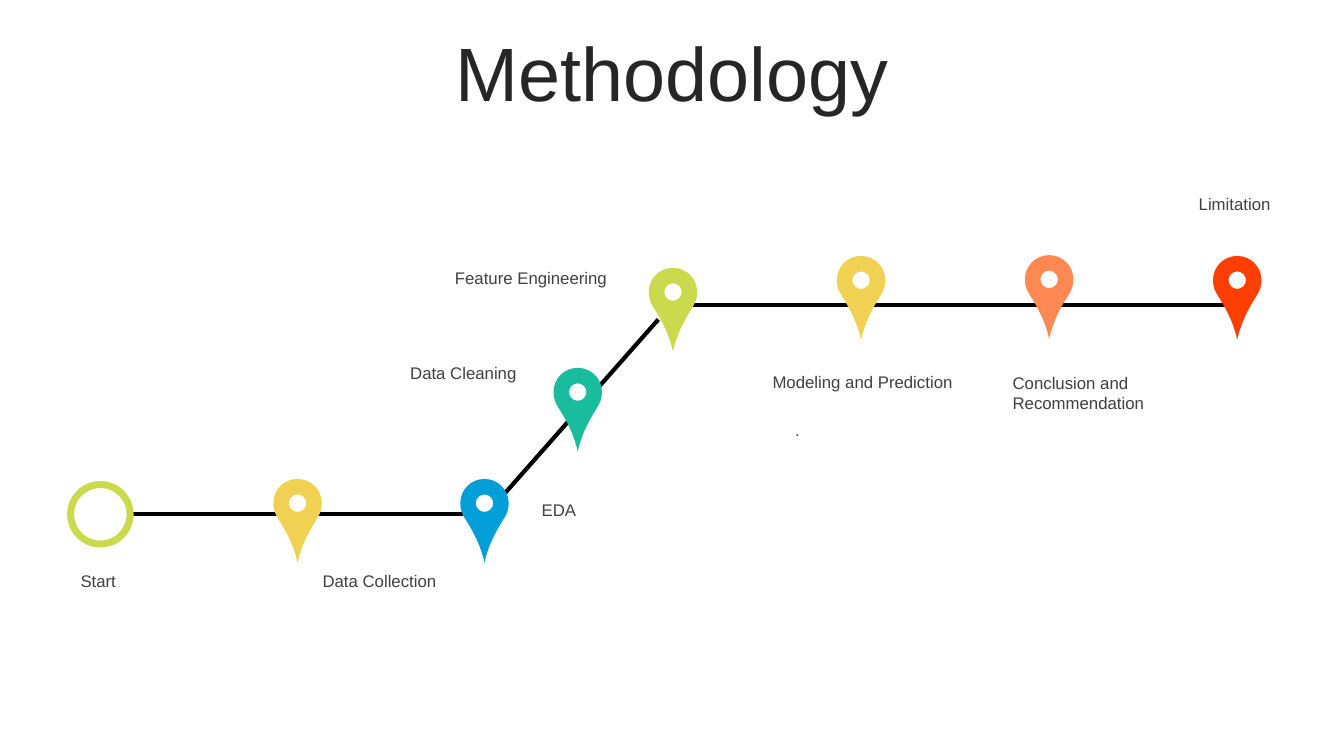
from lxml import etree
from pptx import Presentation
from pptx import util as u
from pptx.dml.color import RGBColor
from pptx.enum import shapes, text
from pptx.oxml.ns import qn

# All lengths are in centimetres.
TITLE = "Methodology"
ROADS = [
    ((3.28, 12.95), (11.68, 12.95)),
    ((16.94, 7.68), (31.17, 7.68)),
    ((12.6, 12.57), (16.59, 8.05)),
]
START = (1.78, 12.21, 1.5)
NARROW, WIDE = 5.49, 8.51
LEFT, RIGHT = text.PP_ALIGN.LEFT, text.PP_ALIGN.RIGHT
LABELS = [  # lines, left, top, width, alignment
    (["Start"], 1.78, 14.25, NARROW, LEFT),
    (["EDA"], 13.4, 12.48, WIDE, LEFT),
    (["Modeling and Prediction"], 15.75, 9.25, WIDE, RIGHT),
    (["Feature Engineering"], 7.04, 6.63, WIDE, RIGHT),
    (["Data Cleaning"], 4.76, 9.02, WIDE, RIGHT),
    (["Data Collection"], 7.88, 14.25, NARROW, LEFT),
    (["."], 19.79, 10.46, NARROW, LEFT),
    (["Conclusion and", "Recommendation"], 25.27, 9.26, NARROW, LEFT),
    (["Limitation"], 23.76, 4.75, WIDE, RIGHT),
]
PINS = [  # centre, top, colour
    (31.18, 6.45, "FF3F02"),
    (26.44, 6.43, "FF8853"),
    (21.7, 6.45, "F0D152"),
    (16.96, 6.75, "CADA4C"),
    (14.56, 9.27, "19BD9E"),
    (12.21, 12.07, "019ED7"),
    (7.5, 12.07, "F0D152"),
]
# Right half of a pin as Bezier points, from the top of its head to the tip.
HALF = [
    (0, 0),
    (0.34, 0), (0.61, 0.27), (0.61, 0.61),
    (0.61, 0.76), (0.57, 0.87), (0.5, 0.98),
    (0.3, 1.3), (0.1, 1.65), (0, 2.11),
]
HEAD, HOLE, BULGE = 0.61, 0.22, 0.12


def paint(fmt, color):
    fmt.solid()
    fmt.fore_color.rgb = RGBColor.from_string(color)


def style(para, size, color, align):
    para.font.name = "Arial"
    para.font.size = u.Pt(size)
    paint(para.font.fill, color)
    para.alignment = align


def add_road(slide, start, end):
    road = slide.shapes.add_connector(
        shapes.MSO_CONNECTOR.STRAIGHT, *map(u.Cm, start + end))
    paint(road.line.fill, "000000")
    road.line.width = u.Pt(3)
    etree.SubElement(road.element.spPr, qn("a:effectLst"))


def add_label(slide, lines, left, top, width, align):
    height = 0.76 if len(lines) == 1 else 1.8
    frame = slide.shapes.add_textbox(*map(u.Cm, (left, top, width, height))).text_frame
    frame.word_wrap = True
    frame.text = "\n".join(lines)
    for para in frame.paragraphs:
        style(para, 12, "404040", align)


def ring_points():
    """Bezier points of the hole, a quarter turn at a time, anticlockwise."""
    points, x, y = [(HOLE, 0)], 1, 0
    for _ in range(4):
        next_x, next_y = y, -x
        points += [
            (HOLE * x + BULGE * next_x, HOLE * y + BULGE * next_y),
            (HOLE * next_x + BULGE * x, HOLE * next_y + BULGE * y),
            (HOLE * next_x, HOLE * next_y),
        ]
        x, y = next_x, next_y
    return [(x, HEAD + y) for x, y in points]


def round_off(shape):
    """Turn each three straight segments into one cubic curve."""
    lines = list(shape.element.iter(qn("a:lnTo")))
    for first, second, third in zip(lines[::3], lines[1::3], lines[2::3]):
        first.tag = qn("a:cubicBezTo")
        for line in (second, third):
            first.append(line[0])
            line.getparent().remove(line)


def add_pin(slide, mid, top, color):
    def place(points):
        return [(u.Cm(mid + x), u.Cm(top + y)) for x, y in points]

    edge = place(HALF + [(-x, y) for x, y in HALF[-2::-1]])
    hole = place(ring_points())
    path = slide.shapes.build_freeform(*edge[0])
    path.add_line_segments(edge[1:])
    path.move_to(*hole[0])
    path.add_line_segments(hole[1:])
    pin = path.convert_to_shape()
    round_off(pin)
    pin.shadow.inherit = False
    paint(pin.fill, color)
    pin.line.fill.background()


def main():
    deck = Presentation()
    deck.slide_width, deck.slide_height = u.Cm(33.87), u.Cm(19.05)
    slide = deck.slides.add_slide(deck.slide_layouts[5])

    title = slide.shapes.title
    title.left, title.top, title.width, title.height = map(
        u.Cm, (0.86, 0.94, 32.16, 2.01))
    title.text = TITLE
    title.text_frame.vertical_anchor = text.MSO_ANCHOR.MIDDLE
    title.text_frame.auto_size = text.MSO_AUTO_SIZE.NONE
    head = title.text_frame.paragraphs[0]
    style(head, 54, "262626", text.PP_ALIGN.CENTER)
    head.line_spacing = 0.9

    for road in ROADS:
        add_road(slide, *road)

    left, top, size = START
    ring = slide.shapes.add_shape(
        shapes.MSO_SHAPE.OVAL, *map(u.Cm, (left, top, size, size)))
    ring.shadow.inherit = False
    paint(ring.fill, "FFFFFF")
    paint(ring.line.fill, "CADA4C")
    ring.line.width = u.Pt(5)

    for label in LABELS:
        add_label(slide, *label)
    for pin in PINS:
        add_pin(slide, *pin)
    deck.save("out.pptx")


if __name__ == "__main__":
    main()
